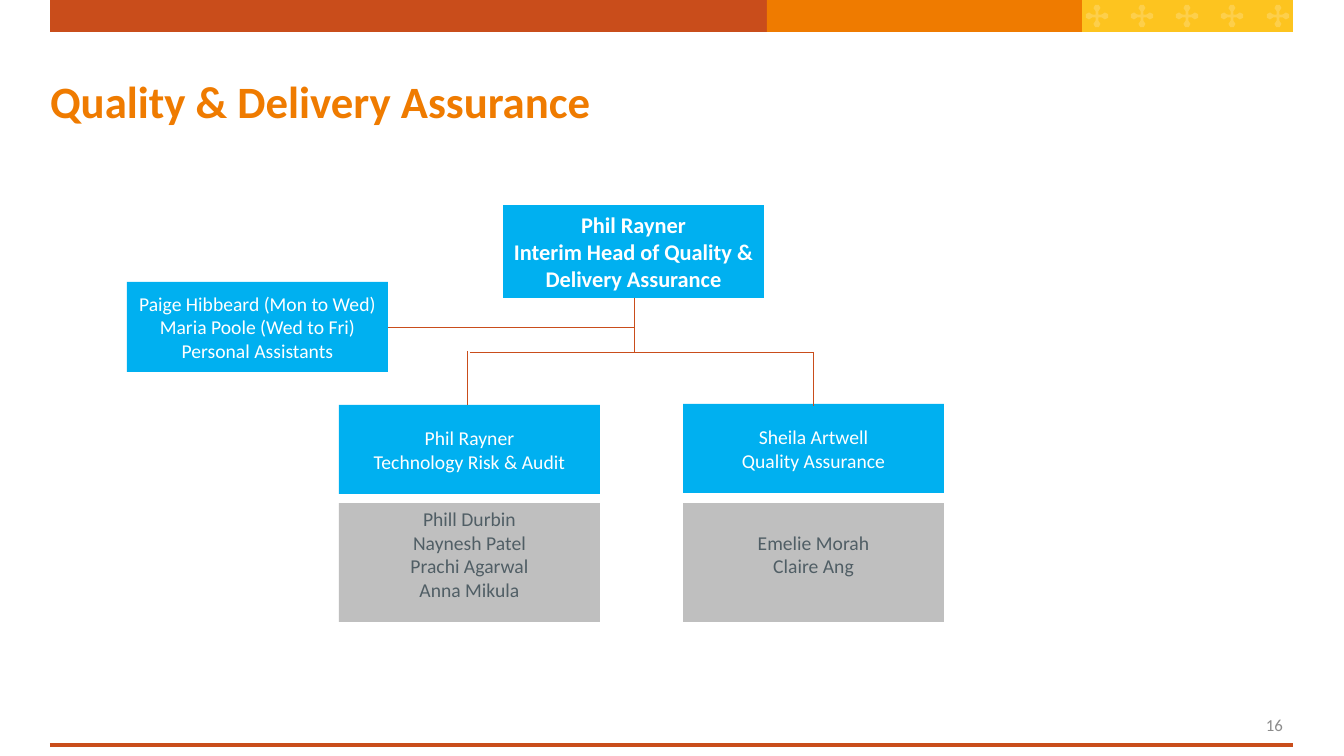
import math

import pptx
import pptx.dml.color
import pptx.enum.shapes
import pptx.enum.text
import pptx.oxml
import pptx.oxml.ns
import pptx.util

EMU_PER_PIXEL = 914400 / 100.8
FONT = "Calibri"
RUST, ORANGE, YELLOW = "C94D1B", "EF7B00", "FDC41F"
BLUE, GREY, SLATE, WHITE = "00B0F0", "BFBFBF", "505E65", "FFFFFF"
BOX_WIDTH = 261
ALIGN = pptx.enum.text.PP_ALIGN


def px(length):
    """Turn pixels into EMU."""
    return pptx.util.Emu(round(length * EMU_PER_PIXEL))


def rgb(value):
    """Turn a hex string into a colour."""
    return pptx.dml.color.RGBColor.from_string(value)


def write_text(shape, lines, size=14, color=WHITE, bold=False, align=ALIGN.CENTER, insets=(10, 5, 10, 5)):
    """Write one paragraph per line, centred vertically between the insets."""
    frame = shape.text_frame
    frame.word_wrap = True
    frame.auto_size = pptx.enum.text.MSO_AUTO_SIZE.NONE
    frame.vertical_anchor = pptx.enum.text.MSO_ANCHOR.MIDDLE
    frame.margin_left, frame.margin_top, frame.margin_right, frame.margin_bottom = map(px, insets)
    frame.text = "\n".join(lines)
    for paragraph in frame.paragraphs:
        paragraph.alignment = align
        font = paragraph.runs[0].font
        font.name, font.size, font.bold = FONT, pptx.util.Pt(size), bold
        font.color.rgb = rgb(color)


def paint(shape, fill):
    """Give a shape a plain fill without line or shadow."""
    shape.shadow.inherit = False
    shape.fill.solid()
    shape.fill.fore_color.rgb = rgb(fill)
    shape.line.fill.background()


def add_box(slide, left, top, width, height, fill, lines=(), **text_format):
    """Add a filled rectangle with optional text."""
    rectangle = pptx.enum.shapes.MSO_SHAPE.RECTANGLE
    shape = slide.shapes.add_shape(rectangle, px(left), px(top), px(width), px(height))
    paint(shape, fill)
    if lines:
        write_text(shape, lines, **text_format)


def add_line(slide, start, end, weight=0.5):
    """Add a straight rust line between two points."""
    straight = pptx.enum.shapes.MSO_CONNECTOR.STRAIGHT
    connector = slide.shapes.add_connector(straight, *map(px, start + end))
    connector.line.color.rgb = rgb(RUST)
    connector.line.width = pptx.util.Pt(weight)
    properties = connector._element.spPr
    properties.append(pptx.oxml.parse_xml(f"<a:effectLst {pptx.oxml.ns.nsdecls('a')}/>"))


def add_cross(slide, center_x, center_y):
    """Add a translucent cross whose four arms end in knobs."""
    knob_radius, knob_distance, inner_corner = 3.5, 8.1, 1.9
    points = []
    for arm in range(0, 360, 90):
        direction = math.radians(arm)
        knob_x = center_x + knob_distance * math.cos(direction)
        knob_y = center_y + knob_distance * math.sin(direction)
        for turn in range(-155, 156, 62):
            angle = math.radians(arm + turn)
            points.append((knob_x + knob_radius * math.cos(angle), knob_y + knob_radius * math.sin(angle)))
        corner = math.radians(arm + 45)
        points.append((center_x + inner_corner * math.cos(corner), center_y + inner_corner * math.sin(corner)))
    outline = [(px(x), px(y)) for x, y in points]
    builder = slide.shapes.build_freeform(*outline[0])
    builder.add_line_segments(outline[1:], close=True)
    shape = builder.convert_to_shape()
    paint(shape, WHITE)
    color = shape._element.spPr.find(".//" + pptx.oxml.ns.qn("a:srgbClr"))
    color.append(pptx.oxml.parse_xml(f"<a:alpha {pptx.oxml.ns.nsdecls('a')} val='20000'/>"))


def add_frame(slide):
    """Add the header band, its crosses and the footer with the page number."""
    edges = (50, 767, 1082, 1293)
    for left, right, fill in zip(edges, edges[1:], (RUST, ORANGE, YELLOW)):
        add_box(slide, left, 0, right - left, 32, fill)
    for index in range(5):
        add_cross(slide, 1097 + index * 181 // 4, 16)
    add_line(slide, (50, 745), (1293, 745), weight=2.25)
    number = slide.shapes.add_textbox(px(1176), px(704), px(117), px(42))
    write_text(number, ["16"], size=12, color="8C8C8C", align=ALIGN.RIGHT)


def add_title(slide, text):
    """Move, fill and format the title placeholder."""
    title = slide.shapes.title
    title.left, title.top, title.width, title.height = map(px, (50, 50, 1243, 101))
    write_text(title, [text], size=32, color=ORANGE, bold=True, align=ALIGN.LEFT, insets=(0, 0, 0, 0))


def add_team(slide, left, top, lead, members):
    """Add a team lead's box with the list of members below."""
    add_box(slide, left, top, BOX_WIDTH, 89, BLUE, lead)
    add_box(slide, left, 503, BOX_WIDTH, 119, GREY, members, color=SLATE, insets=(10, 0, 10, 17))


def main():
    """Build and save the slide."""
    presentation = pptx.Presentation()
    presentation.slide_width, presentation.slide_height = px(1344), px(756)
    slide = presentation.slides.add_slide(presentation.slide_layouts[5])
    add_frame(slide)
    add_title(slide, "Quality & Delivery Assurance")
    head = ["Phil Rayner", "Interim Head of Quality & Delivery Assurance"]
    add_box(slide, 503, 205, BOX_WIDTH, 93, BLUE, head, size=16, bold=True)
    add_team(slide, 339, 405, ["Phil Rayner", "Technology Risk & Audit"],
             ["Phill Durbin", "Naynesh Patel", "Prachi Agarwal", "Anna Mikula"])
    add_team(slide, 683, 404, ["Sheila Artwell", "Quality Assurance"], ["Emelie Morah", "Claire Ang"])
    assistants = ["Paige Hibbeard (Mon to Wed)", "Maria Poole (Wed to Fri)", "Personal Assistants"]
    add_box(slide, 127, 282, BOX_WIDTH, 90, BLUE, assistants)
    for start, end in (
        ((634, 298), (634, 352)),
        ((470, 352), (813, 352)),
        ((467, 351), (467, 405)),
        ((813, 352), (813, 406)),
        ((388, 327), (634, 327)),
    ):
        add_line(slide, start, end)
    presentation.save("out.pptx")


main()
